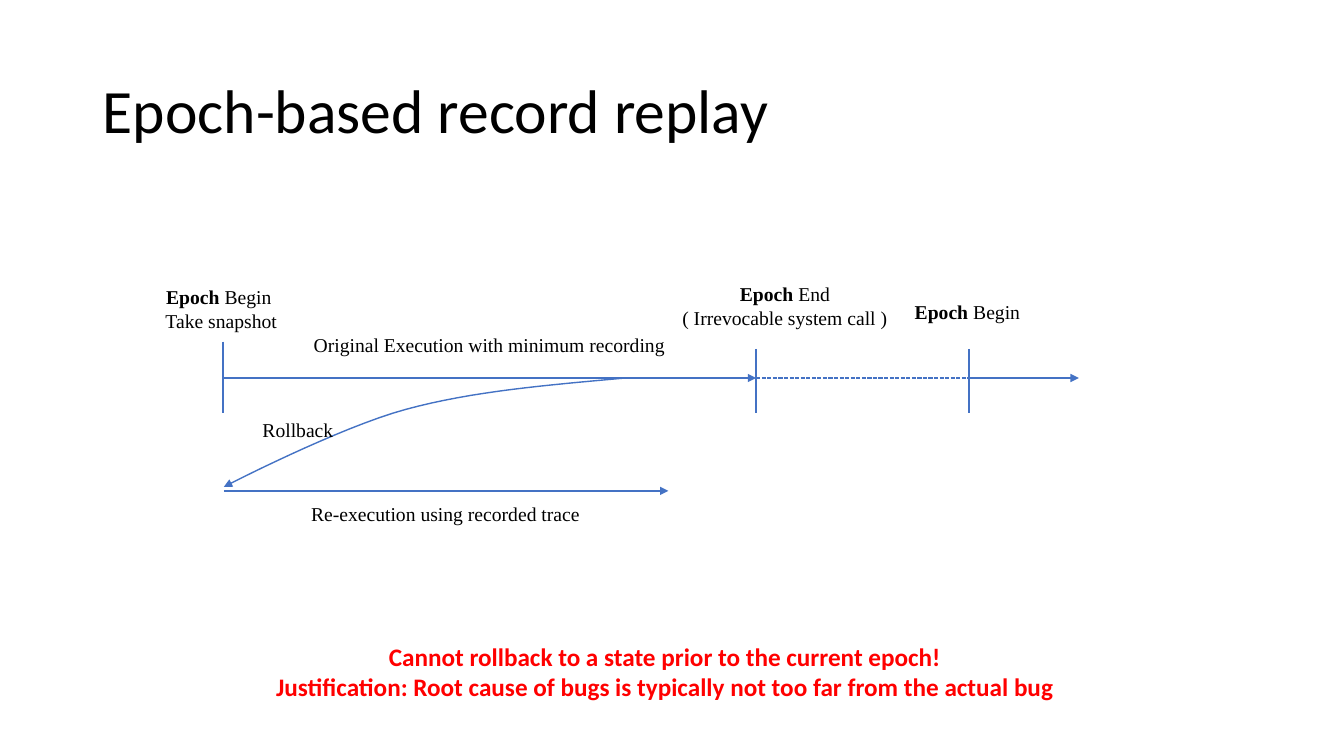
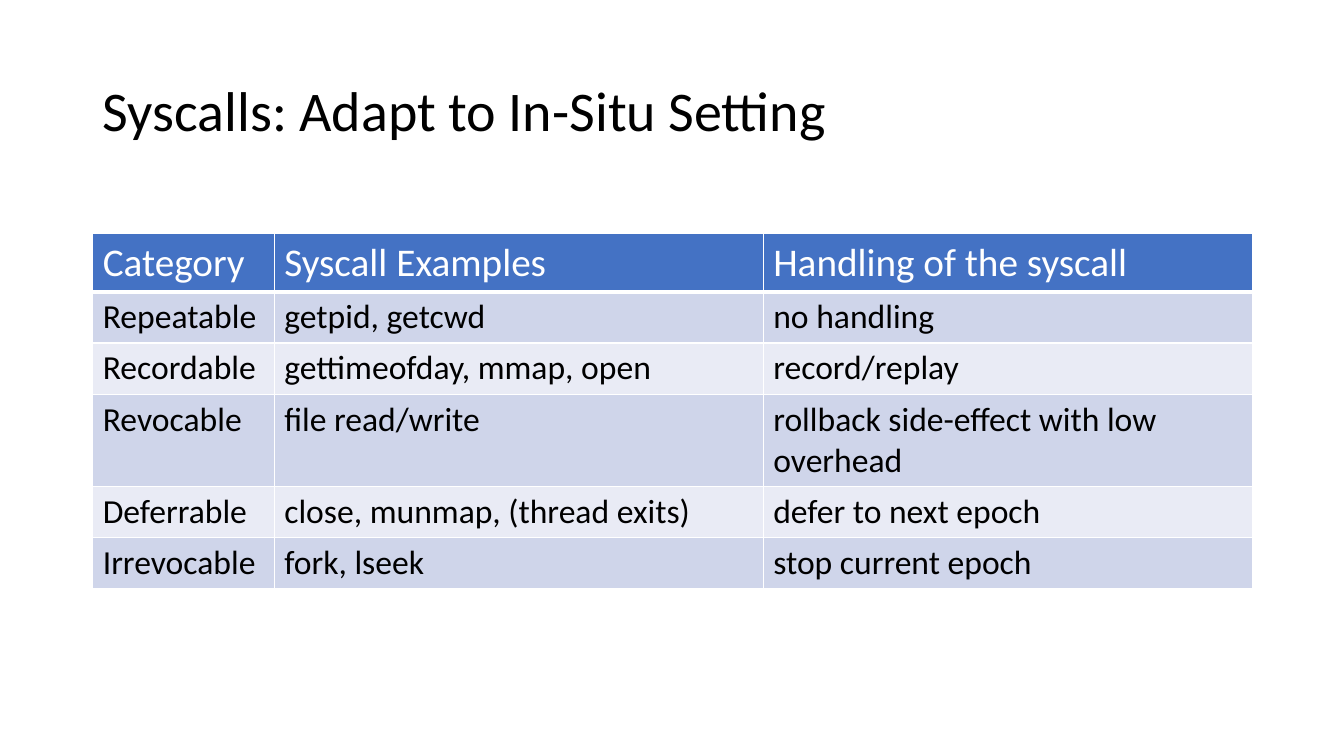
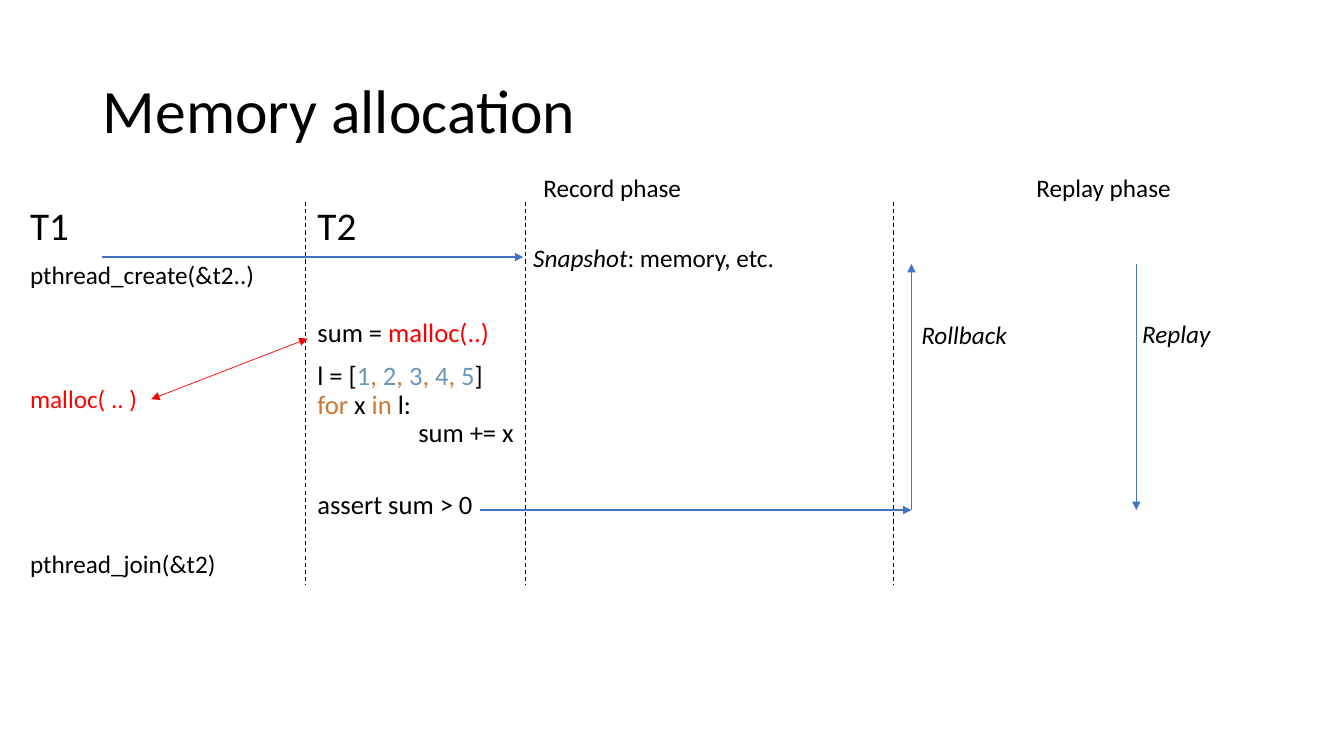
from pptx import Presentation
from pptx.dml.color import RGBColor
from pptx.enum.dml import MSO_LINE
from pptx.enum.shapes import MSO_CONNECTOR
from pptx.enum.text import MSO_ANCHOR, PP_ALIGN
from pptx.oxml.ns import qn
from pptx.util import Inches, Pt
from lxml.etree import SubElement

BLUE, RED, BLACK, WHITE = "4472C4", "FF0000", "000000", "FFFFFF"
NUMBER, KEYWORD = "6897BB", "CC7832"
BANDS = ("CFD5EA", "E9EBF5")
SERIF = "Times New Roman"


def paint(code):
    return RGBColor.from_string(code)


def dress(target, values):
    for name, value in values.items():
        setattr(target, name, value)


def bezier(start, a, b, end, steps=16):
    """Points along a cubic curve, without its start."""
    for i in range(1, steps + 1):
        t = i / steps
        u = 1 - t
        yield tuple(u**3 * p + 3 * u * u * t * q + 3 * u * t * t * r + t**3 * s
                    for p, q, r, s in zip(start, a, b, end))


class Deck:
    base = {"name": "Calibri", "size": Pt(18), "bold": False, "italic": False, "color": BLACK}
    label = {"name": SERIF, "size": Pt(14)}
    flush = {"margin_left": 0, "margin_right": 0, "margin_top": 0, "margin_bottom": 0,
             "vertical_anchor": MSO_ANCHOR.MIDDLE}

    def __init__(self):
        self.prs = Presentation()
        self.prs.slide_width, self.prs.slide_height = Inches(13.33), Inches(7.5)
        self.slide = None

    def page(self, title, size=44):
        self.slide = self.prs.slides.add_slide(self.prs.slide_layouts[5])
        holder = self.slide.shapes.title
        dress(holder, dict(zip(("left", "top", "width", "height"),
                               map(Inches, (0.92, 0.4, 11.5, 1.45)))))
        holder.text_frame.vertical_anchor = MSO_ANCHOR.MIDDLE
        self.typeset(holder.text_frame, [title], {"size": Pt(size)},
                     {"alignment": PP_ALIGN.LEFT, "line_spacing": 0.9})

    def typeset(self, frame, lines, font=None, para=None):
        """A line is a string or a list of runs; a run is a string or (string, font values).

        A dict at the head of a list overrides paragraph values; "indent" is in inches.
        """
        for i, line in enumerate(lines):
            par = frame.paragraphs[0] if i == 0 else frame.add_paragraph()
            runs = [line] if isinstance(line, str) else list(line)
            own = runs.pop(0) if isinstance(runs[0], dict) else {}
            values = {**(para or {}), **own}
            indent = values.pop("indent", 0)
            if indent:
                par._p.get_or_add_pPr().set("marL", str(Inches(indent)))
            dress(par, values)
            for item in runs:
                text, extra = (item, {}) if isinstance(item, str) else item
                run = par.add_run()
                run.text = text
                look = {**self.base, **(font or {}), **extra}
                run.font.color.rgb = paint(look.pop("color"))
                dress(run.font, look)

    def text(self, at, lines, font=None, para=None, frame=None):
        box = self.slide.shapes.add_textbox(*map(Inches, at)).text_frame
        dress(box, {"word_wrap": True, **(frame or {})})
        self.typeset(box, lines, font, para)

    def note(self, at, *lines):
        """A centred serif label of the timeline."""
        self.text(at, lines, self.label, {"alignment": PP_ALIGN.CENTER}, self.flush)

    def tag(self, at, *lines, font=None, align=PP_ALIGN.LEFT):
        """A label that does not wrap."""
        self.text(at, lines, font, {"alignment": align}, {"word_wrap": False})

    def stroke(self, shape, color, width, dash, head, tail):
        line = shape.line
        line.color.rgb = paint(color)
        line.width = Pt(width)
        if dash:
            line.dash_style = dash
        props = shape._element.spPr
        for end, shown in (("a:headEnd", head), ("a:tailEnd", tail)):
            if shown:
                SubElement(props.find(qn("a:ln")), qn(end), type="triangle")
        SubElement(props, qn("a:effectLst"))

    def line(self, start, end, color=BLUE, width=1, dash=None, head=False, tail=False):
        link = self.slide.shapes.add_connector(
            MSO_CONNECTOR.STRAIGHT, *map(Inches, start + end))
        self.stroke(link, color, width, dash, head, tail)

    def arrow(self, start, end, **style):
        self.line(start, end, tail=True, **style)

    def curve(self, start, *parts):
        """An open curved arrow; each part is two control points and an end."""
        points, last = [], start
        for part in parts:
            points += bezier(last, *part)
            last = part[-1]
        pen = self.slide.shapes.build_freeform(*map(Inches, start))
        pen.add_line_segments([tuple(map(Inches, p)) for p in points], close=False)
        shape = pen.convert_to_shape()
        shape.fill.background()
        self.stroke(shape, BLUE, 1, None, False, True)

    def edge(self, cell, side, width):
        props = cell._tc.get_or_add_tcPr()
        line = SubElement(props, qn("a:ln" + side), w=str(Pt(width)))
        fill = SubElement(line, qn("a:solidFill"))
        SubElement(fill, qn("a:srgbClr"), val=WHITE)

    def table(self, at, widths, heights, rows):
        size = (sum(widths), sum(heights))
        grid = self.slide.shapes.add_table(
            len(rows), len(widths), *map(Inches, at + size)).table
        for col, width in zip(grid.columns, widths):
            col.width = Inches(width)
        for i, (row, height, words) in enumerate(zip(grid.rows, heights, rows)):
            row.height = Inches(height)
            top = i == 0
            font = {"size": Pt(28), "color": WHITE} if top else {"size": Pt(24)}
            for cell, word in zip(row.cells, words):
                for side in "LRTB":
                    self.edge(cell, side, 3 if top and side == "B" else 1)
                cell.fill.solid()
                cell.fill.fore_color.rgb = paint(BLUE if top else BANDS[(i - 1) % 2])
                self.typeset(cell.text_frame, [word], font)


def epochs(deck):
    deck.page("Epoch-based record replay")
    epoch = ("Epoch", {"bold": True})
    axis, begin, end, again = 3.75, 2.21, 7.5, 9.61
    deck.note((1.37, 2.73, 1.65, 0.67), [epoch, " Begin "], "Take snapshot")
    deck.note((6.29, 2.7, 2.99, 0.67), [epoch, " End"], "( Irrevocable system call )")
    deck.note((8.77, 2.76, 1.65, 0.67), [epoch, " Begin"])
    deck.note((begin, 3.14, 5.29, 0.56), "Original Execution with minimum recording")
    deck.note((2.65, 4.82, 3.54, 0.56), "Re-execution using recorded trace")
    deck.arrow((begin, axis), (end, axis))
    deck.line((end, axis), (again, axis), dash=MSO_LINE.SQUARE_DOT)
    deck.arrow((again, axis), (10.7, axis))
    deck.arrow((2.22, 4.87), (6.63, 4.87))
    for x, top in ((begin, 3.39), (end, 3.46), (again, 3.46)):
        deck.line((x, top), (x, 4.1))
    deck.curve((6.2, axis),
               ((5.44, 3.82), (4.69, 3.88), (4.03, 4.06)),
               ((3.36, 4.24), (2.22, 4.83), (2.22, 4.83)))
    deck.note((1.99, 4, 1.93, 0.53), "Rollback")
    deck.tag((2.6, 6.31, 7.99, 0.71),
             "Cannot rollback to a state prior to the current epoch!",
             "Justification: Root cause of bugs is typically not too far from the actual bug",
             font={"bold": True, "color": RED}, align=PP_ALIGN.CENTER)


def syscalls(deck):
    deck.page("Syscalls: Adapt to In-Situ Setting", 40)
    deck.table((0.92, 2.32), (1.8, 4.85, 4.85), (0.57, 0.5, 0.5, 0.91, 0.5, 0.5), (
        ("Category", "Syscall Examples", "Handling of the syscall"),
        ("Repeatable", "getpid, getcwd", "no handling"),
        ("Recordable", "gettimeofday, mmap, open", "record/replay"),
        ("Revocable", "file read/write", "rollback side-effect with low overhead"),
        ("Deferrable", "close, munmap, (thread exits)", "defer to next epoch"),
        ("Irrevocable", "fork, lseek", "stop current epoch"),
    ))


def memory(deck):
    deck.page("Memory allocation")
    big, red, slant = {"size": Pt(28)}, {"color": RED}, {"italic": True}
    number, keyword = {"color": NUMBER}, {"color": KEYWORD}
    body = {"line_spacing": 0.9, "space_before": Pt(10)}

    def gap(points, **more):
        return {"space_before": Pt(points), **more}

    items = [("1", number)]
    for digit in "2345":
        items += [(", ", keyword), (digit, number)]
    deck.text((3.05, 2, 2.55, 3.41), [
        [("T2", big)],
        [gap(50.5), "sum = ", ("malloc(..)", red)],
        ["l = [", *items, "]"],
        [gap(0), ("for ", keyword), "x ", ("in ", keyword), "l:"],
        [gap(0, indent=1), "sum += x"],
        [gap(30.5), "assert sum > 0"],
    ], {"size": Pt(19)}, body)
    deck.text((0.2, 2, 3.06, 3.79), [
        [("T1", big)],
        "pthread_create(&t2..)",
        [gap(69), ("malloc( .. )", red)],
        [gap(98.5), "pthread_join(&t2)"],
    ], None, body)

    for x in (3.03, 5.21, 8.86):
        deck.line((x, 2), (x, 5.8), color=BLACK, width=0.75, dash=MSO_LINE.DASH)
    top, foot, back = 2.62, 5.06, 9.04
    deck.arrow((1.01, 2.55), (5.19, 2.55))
    deck.arrow((4.76, foot), (back, foot))
    deck.arrow((back, foot), (back, top))
    deck.arrow((11.27, top), (11.27, foot))
    deck.arrow((1.5, 3.96), (3.05, 3.36), color=RED, width=0.5, head=True)

    deck.tag((5.19, 2.35, 2.62, 0.4), [("Snapshot", slant), ": memory, etc."])
    deck.tag((5.29, 1.66, 1.59, 0.4), "Record phase")
    deck.tag((10.18, 1.66, 1.55, 0.4), "Replay phase")
    deck.tag((back, 3.12, 1.06, 0.4), "Rollback", font=slant)
    deck.tag((11.23, 3.11, 0.88, 0.4), "Replay", font=slant)


def main():
    deck = Deck()
    for build in (epochs, syscalls, memory):
        build(deck)
    deck.prs.save("out.pptx")


if __name__ == "__main__":
    main()
